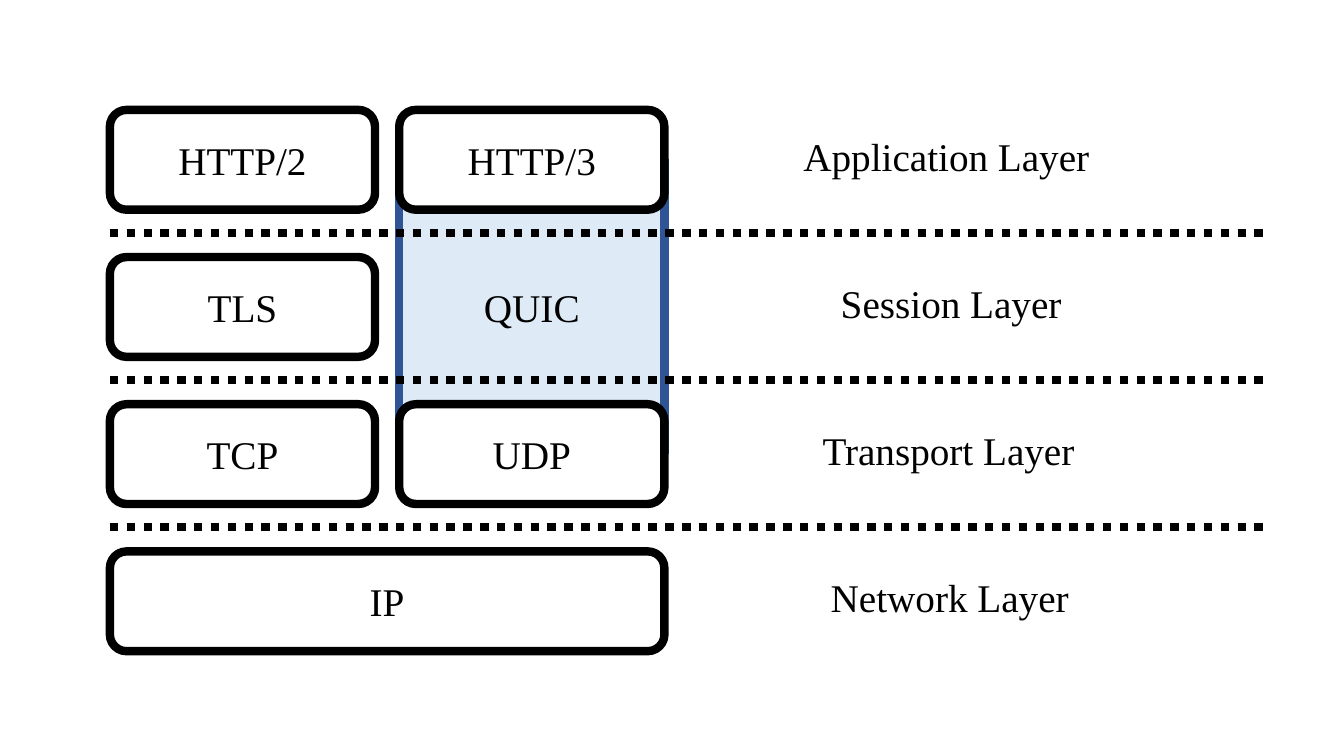
from pptx import Presentation
from pptx.dml.color import RGBColor
from pptx.enum.dml import MSO_LINE
from pptx.enum.shapes import MSO_CONNECTOR, MSO_SHAPE
from pptx.enum.text import MSO_ANCHOR, MSO_AUTO_SIZE, PP_ALIGN
from pptx.oxml.ns import qn
from pptx.util import Pt
from lxml import etree

RECTANGLE = MSO_SHAPE.RECTANGLE
ROUNDED = MSO_SHAPE.ROUNDED_RECTANGLE
STRAIGHT = MSO_CONNECTOR.STRAIGHT
SYSTEM_DOT = MSO_LINE.ROUND_DOT
CENTER = PP_ALIGN.CENTER
MIDDLE = MSO_ANCHOR.MIDDLE
FIT_SHAPE = MSO_AUTO_SIZE.SHAPE_TO_FIT_TEXT

EMU_PER_PX = 9144  # 100 px to the inch
BLACK, WHITE = "000000", "FFFFFF"
BLUE, PALE_BLUE = "2F5597", "DEEBF7"
LINE_WIDTH = Pt(6)

LEFT, RIGHT_COLUMN, DIVIDER_END = 109, 396, 1255
BOX_WIDTH, BOX_HEIGHT = 263, 99
STACK_RIGHT = RIGHT_COLUMN + BOX_WIDTH
FIRST_ROW, ROW_PITCH = 109, 146
DIVIDER_OFFSET, LABEL_OFFSET, LABEL_HEIGHT = 122, 17, 57

BOXES = [  # text, row, left, width
    ("HTTP/2", 0, LEFT, BOX_WIDTH),
    ("TLS", 1, LEFT, BOX_WIDTH),
    ("TCP", 2, LEFT, BOX_WIDTH),
    ("IP", 3, LEFT, STACK_RIGHT - LEFT),
    ("UDP", 2, RIGHT_COLUMN, BOX_WIDTH),
    ("HTTP/3", 0, RIGHT_COLUMN, BOX_WIDTH),
]
LAYERS = [  # text, left, width
    ("Application Layer", 787, 307),
    ("Session Layer", 824, 241),
    ("Transport Layer", 806, 273),
    ("Network Layer", 814, 259),
]


def px(*lengths):
    return [length * EMU_PER_PX for length in lengths]


def color(value):
    return RGBColor.from_string(value)


def row_top(row):
    return FIRST_ROW + row * ROW_PITCH


def write(paragraph, text):
    run = paragraph.add_run()
    run.text = text
    run.font.name = "Times New Roman"
    run.font.size = Pt(28)
    run.font.color.rgb = color(BLACK)


def add_box(shapes, kind, left, top, width, height, text="", fill=None, outline=None):
    shape = shapes.add_shape(kind, *px(left, top, width, height))
    shape.shadow.inherit = False
    if fill:
        shape.fill.solid()
        shape.fill.fore_color.rgb = color(fill)
    else:
        shape.fill.background()
    if outline:
        shape.line.color.rgb = color(outline)
        shape.line.width = LINE_WIDTH
    else:
        shape.line.fill.background()
    if text:
        shape.text_frame.vertical_anchor = MIDDLE
        paragraph = shape.text_frame.paragraphs[0]
        paragraph.alignment = CENTER
        write(paragraph, text)


def add_line(shapes, start, end, line_color, dash=None):
    connector = shapes.add_connector(STRAIGHT, *px(*start, *end))
    connector.line.color.rgb = color(line_color)
    connector.line.width = LINE_WIDTH
    if dash:
        connector.line.dash_style = dash
    etree.SubElement(connector._element.spPr, qn("a:effectLst"))


def add_label(shapes, text, left, top, width):
    frame = shapes.add_textbox(*px(left, top, width, LABEL_HEIGHT)).text_frame
    frame.word_wrap = False
    frame.auto_size = FIT_SHAPE
    write(frame.paragraphs[0], text)


def add_quic_column(shapes):
    """Draw the band that joins HTTP/3 to UDP."""
    top = row_top(0) + BOX_HEIGHT // 2
    bottom = row_top(2) + BOX_HEIGHT // 2
    add_box(shapes, RECTANGLE, RIGHT_COLUMN, top, BOX_WIDTH, bottom - top, fill=PALE_BLUE)
    add_box(shapes, ROUNDED, RIGHT_COLUMN, row_top(1), BOX_WIDTH, BOX_HEIGHT, "QUIC")
    for x in (RIGHT_COLUMN, STACK_RIGHT):
        add_line(shapes, (x, top), (x, bottom), BLUE)


def main():
    presentation = Presentation()
    presentation.slide_width, presentation.slide_height = px(1333, 750)
    slide = presentation.slides.add_slide(presentation.slide_layouts[6])
    shapes = slide.shapes.add_group_shape().shapes

    add_quic_column(shapes)
    for text, row, left, width in BOXES:
        add_box(shapes, ROUNDED, left, row_top(row), width, BOX_HEIGHT, text, WHITE, BLACK)
    for row in range(len(LAYERS) - 1):
        y = row_top(row) + DIVIDER_OFFSET
        add_line(shapes, (LEFT, y), (DIVIDER_END, y), BLACK, SYSTEM_DOT)
    for row, (text, left, width) in enumerate(LAYERS):
        add_label(shapes, text, left, row_top(row) + LABEL_OFFSET, width)

    presentation.save("out.pptx")


if __name__ == "__main__":
    main()
